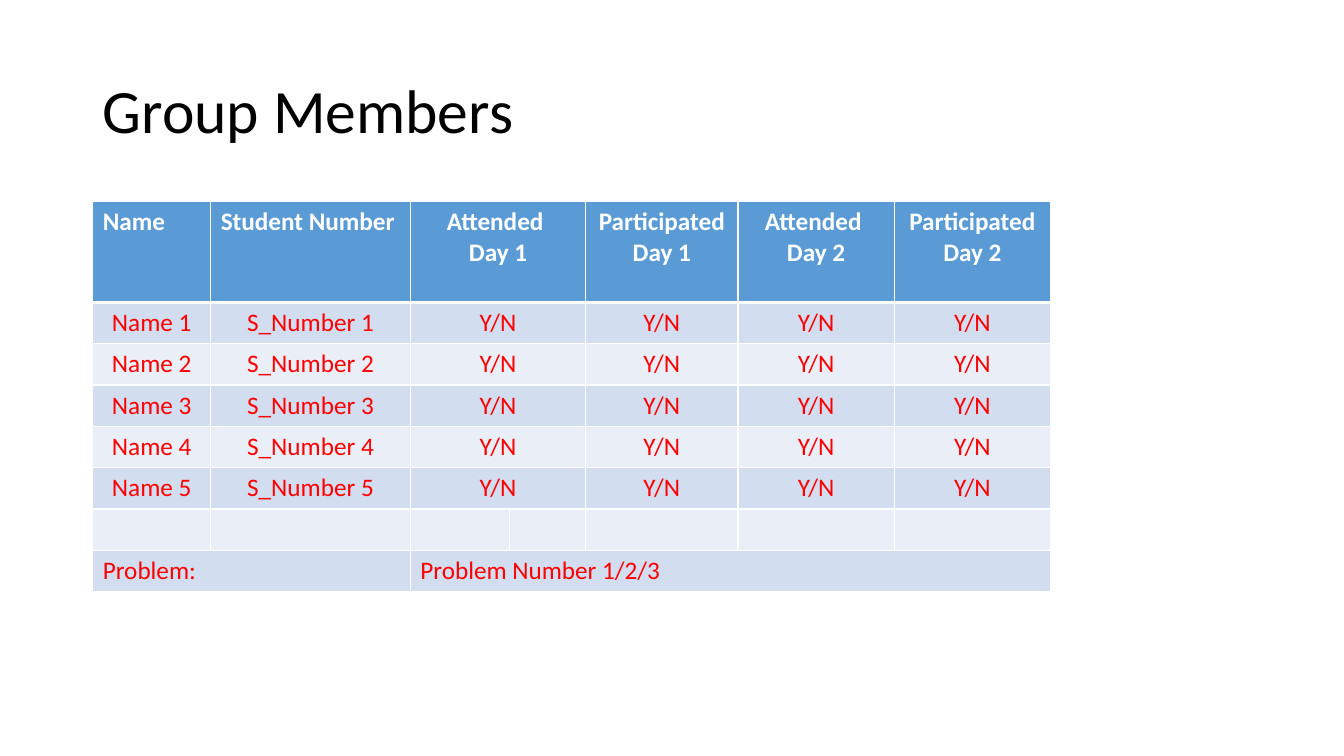
from lxml.etree import SubElement
from pptx import Presentation
from pptx.dml.color import RGBColor
from pptx.enum.text import MSO_ANCHOR, PP_ALIGN
from pptx.oxml.ns import qn
from pptx.util import Inches, Pt

WHITE, BLACK, RED, BLUE = "FFFFFF", "000000", "FF0000", "5B9BD5"
BANDS = ["EAEFF7", "D2DEEF"]
COLUMN_WIDTHS = [1.17, 1.98, 0.98, 0.76, 1.51, 1.55, 1.55]
HEADER_HEIGHT, ROW_HEIGHT = 1.0, 0.41
MEMBER_COUNT = 5
HEADERS = ["Name", "Student Number", "Attended \nDay 1", None,
           "Participated\nDay 1", "Attended \nDay 2", "Participated\nDay 2"]


def color(value):
    """Turn a hex string into a colour."""
    return RGBColor.from_string(value)


def write_text(frame, text, size=18, fill=RED, bold=False, align=PP_ALIGN.LEFT, spacing=None):
    """Fill a text frame and format each of its paragraphs."""
    frame.text = text
    for paragraph in frame.paragraphs:
        paragraph.alignment = align
        paragraph.line_spacing = spacing
        font = paragraph.font
        font.name, font.size, font.bold = "Calibri", Pt(size), bold
        font.color.rgb = color(fill)


def add_border(cell, side, width):
    """Draw a white line on one side of a cell."""
    line = SubElement(cell._tc.get_or_add_tcPr(), qn(f"a:ln{side}"), w=str(Pt(width)))
    fill = SubElement(line, qn("a:solidFill"))
    SubElement(fill, qn("a:srgbClr"), val=WHITE)


def style_cell(cell, row):
    """Give a cell the borders and fill of its row."""
    for side in "LRTB":
        heavy = (row, side) in [(0, "B"), (1, "T")]
        add_border(cell, side, 3 if heavy else 1)
    cell.fill.solid()
    cell.fill.fore_color.rgb = color(BANDS[row % 2] if row else BLUE)


def add_title(slide, text):
    """Place and format the slide title."""
    title = slide.shapes.title
    title.left, title.top = Inches(0.92), Inches(0.4)
    title.width, title.height = Inches(11.5), Inches(1.45)
    title.text_frame.vertical_anchor = MSO_ANCHOR.MIDDLE
    write_text(title.text_frame, text, size=44, fill=BLACK, spacing=0.9)


def add_member_table(slide, rows):
    """Add the table of members, attendance and the chosen problem."""
    height = HEADER_HEIGHT + ROW_HEIGHT * (len(rows) - 1)
    table = slide.shapes.add_table(len(rows), len(COLUMN_WIDTHS), Inches(0.92), Inches(2),
                                   Inches(sum(COLUMN_WIDTHS)), Inches(height)).table
    for column, width in zip(table.columns, COLUMN_WIDTHS):
        column.width = Inches(width)
    last = len(rows) - 1
    for row, texts in enumerate(rows):
        table.rows[row].height = Inches(ROW_HEIGHT if row else HEADER_HEIGHT)
        for column, text in enumerate(texts):
            cell = table.cell(row, column)
            style_cell(cell, row)
            if text is None:
                continue
            left = row == last or (row == 0 and column < 2)
            write_text(cell.text_frame, text, fill=RED if row else WHITE, bold=row == 0,
                       align=PP_ALIGN.LEFT if left else PP_ALIGN.CENTER)
    for row in range(MEMBER_COUNT + 1):
        table.cell(row, 2).merge(table.cell(row, 3))
    table.cell(last, 0).merge(table.cell(last, 1))
    table.cell(last, 2).merge(table.cell(last, 6))


def main():
    """Build the group members slide."""
    presentation = Presentation()
    presentation.slide_width, presentation.slide_height = Inches(13.33), Inches(7.5)
    slide = presentation.slides.add_slide(presentation.slide_layouts[5])
    add_title(slide, "Group Members")
    members = [[f"Name {number}", f"S_Number {number}", "Y/N", None, "Y/N", "Y/N", "Y/N"]
               for number in range(1, MEMBER_COUNT + 1)]
    problem = ["Problem:", None, "Problem Number 1/2/3"] + [None] * 4
    add_member_table(slide, [HEADERS, *members, [""] * len(COLUMN_WIDTHS), problem])
    presentation.save("out.pptx")


if __name__ == "__main__":
    main()
